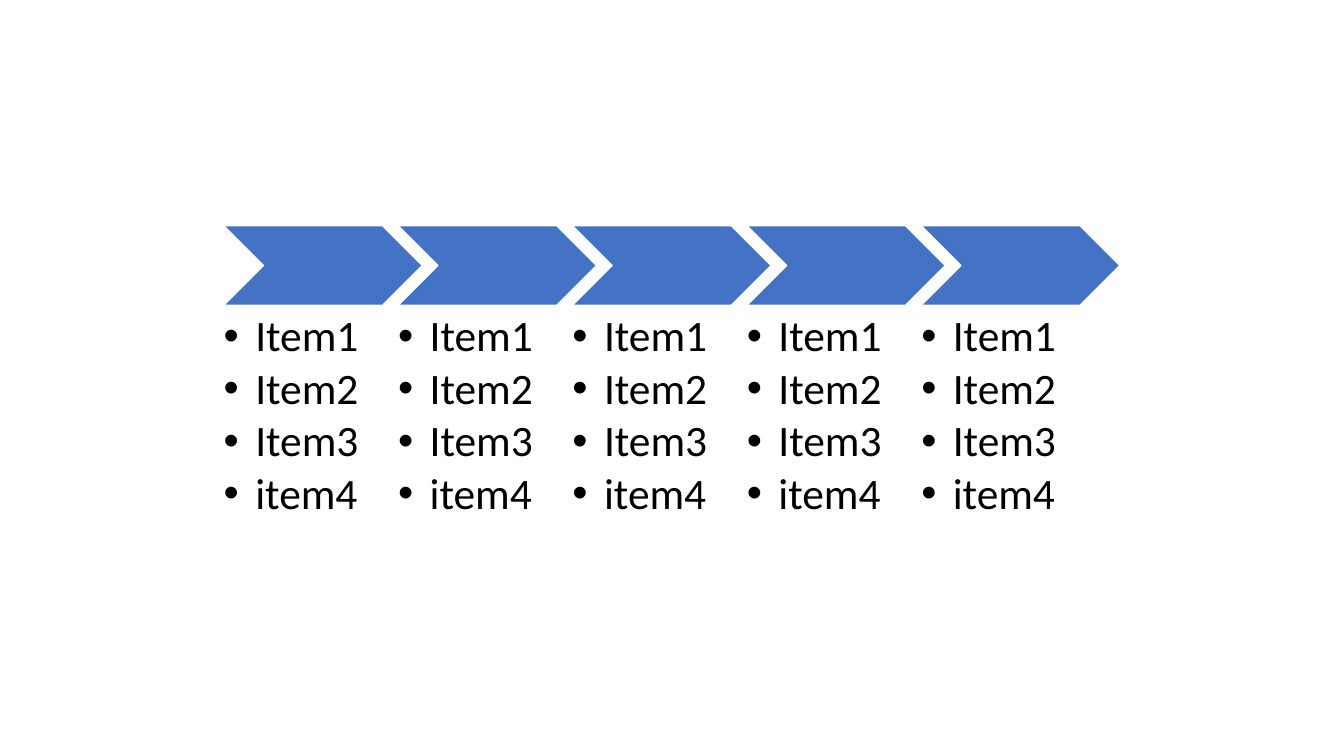
from lxml.etree import SubElement as Sub
from pptx import Presentation as Deck
from pptx.dml.color import RGBColor as RGB
from pptx.enum.shapes import MSO_SHAPE as Kind
from pptx.oxml.ns import qn
from pptx.util import Pt

BLUE = RGB(0x44, 0x72, 0xC4)
WHITE = RGB(0xFF, 0xFF, 0xFF)
BLACK = RGB(0, 0, 0)
FONT = "Calibri"
ITEMS = ["Item1", "Item2", "Item3", "item4"]
STEPS = 5
LEFT = 159.84
PITCH = 124.56
INDENT = 22.5


def add_step(group, left):
    """Add one chevron of the process."""
    step = group.shapes.add_shape(
        Kind.CHEVRON, Pt(left), Pt(161.28), Pt(141.84), Pt(56.74))
    step.shadow.inherit = False
    step.fill.solid()
    step.fill.fore_color.rgb = BLUE
    step.line.color.rgb = WHITE
    step.line.width = Pt(1)


def set_bullet(para):
    """Give a paragraph a round bullet with a hanging indent."""
    props = para._p.get_or_add_pPr()
    props.set("marL", str(Pt(INDENT)))
    props.set("indent", str(-Pt(INDENT)))
    Sub(props, qn("a:buFont"), typeface="Arial")
    Sub(props, qn("a:buChar"), char="•")


def add_list(group, left, items):
    """Add the bulleted items below a chevron."""
    box = group.shapes.add_textbox(Pt(left), Pt(224.64), Pt(113.04), Pt(154.08))
    frame = box.text_frame
    frame.word_wrap = True
    frame.margin_left = frame.margin_right = Pt(0)
    frame.margin_top = frame.margin_bottom = Pt(0)
    for i, item in enumerate(items):
        para = frame.add_paragraph() if i else frame.paragraphs[0]
        para.level = 1
        para.line_spacing = 0.9
        para.space_after = Pt(4)
        set_bullet(para)
        run = para.add_run()
        run.text = item
        run.font.name = FONT
        run.font.size = Pt(31)
        run.font.color.rgb = BLACK


def main():
    """Build the slide and save it."""
    deck = Deck()
    deck.slide_width, deck.slide_height = Pt(960), Pt(540)
    slide = deck.slides.add_slide(deck.slide_layouts[6])
    group = slide.shapes.add_group_shape()
    for i in range(STEPS):
        left = LEFT + i * PITCH
        add_step(group, left)
        add_list(group, left, ITEMS)
    deck.save("out.pptx")


main()
